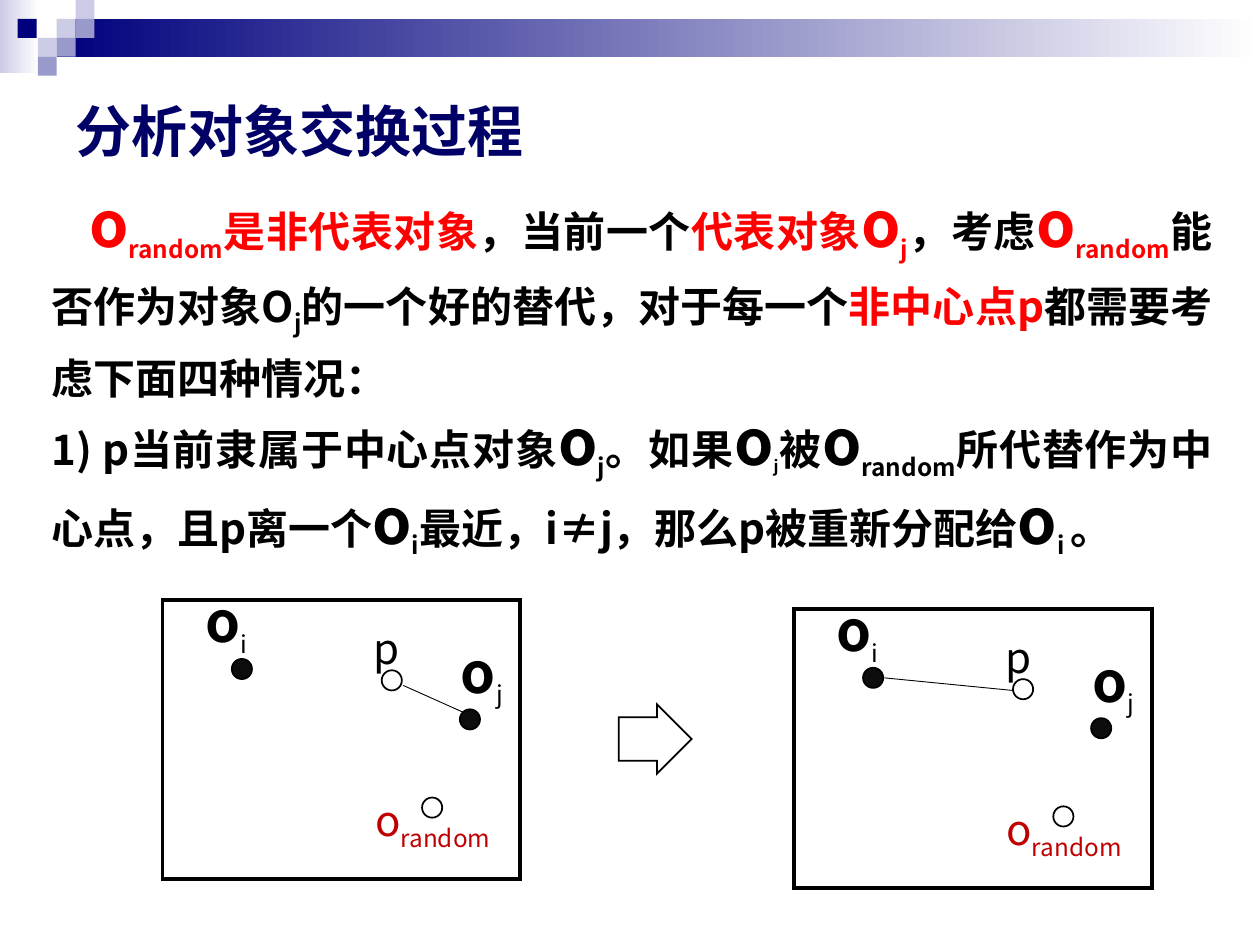
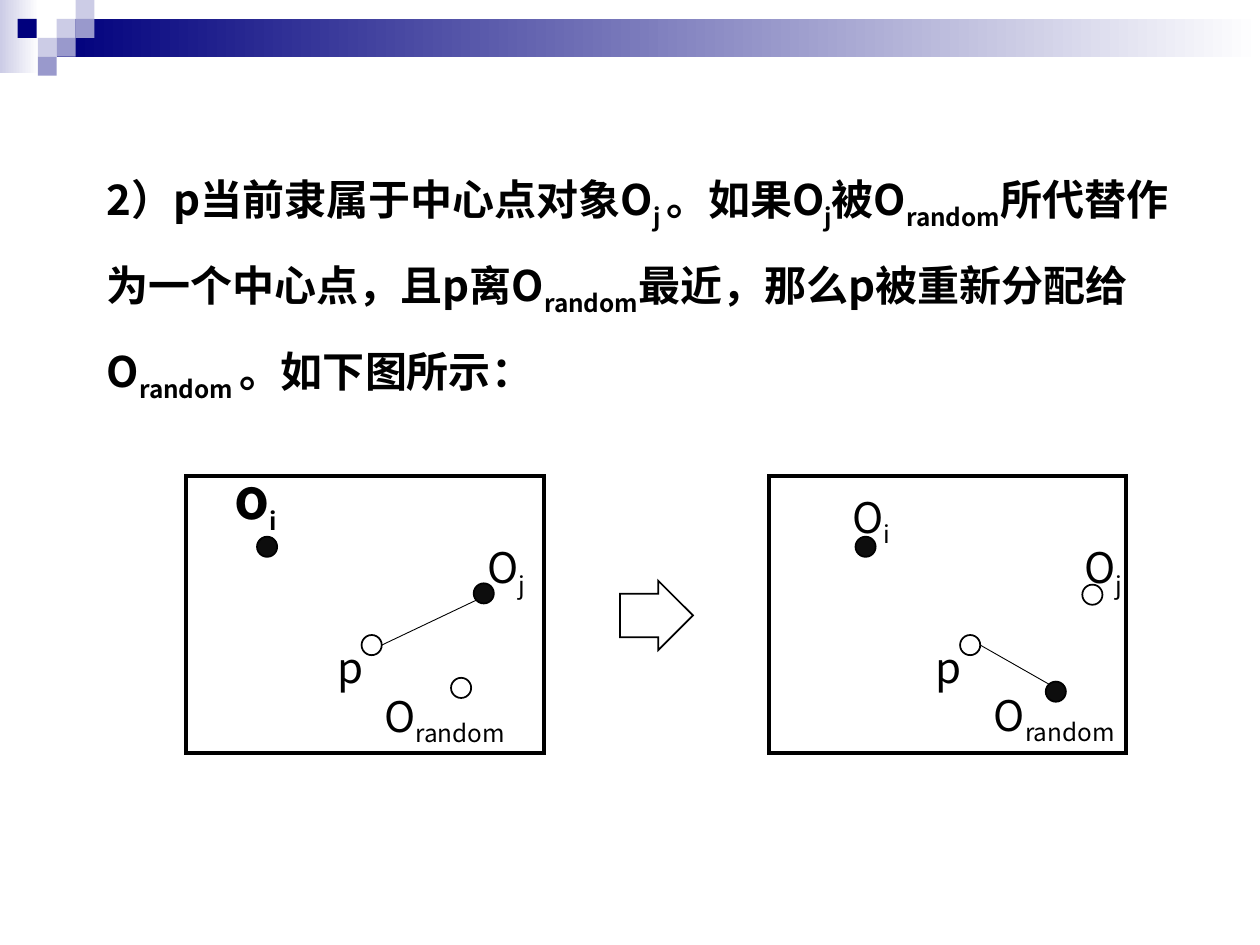
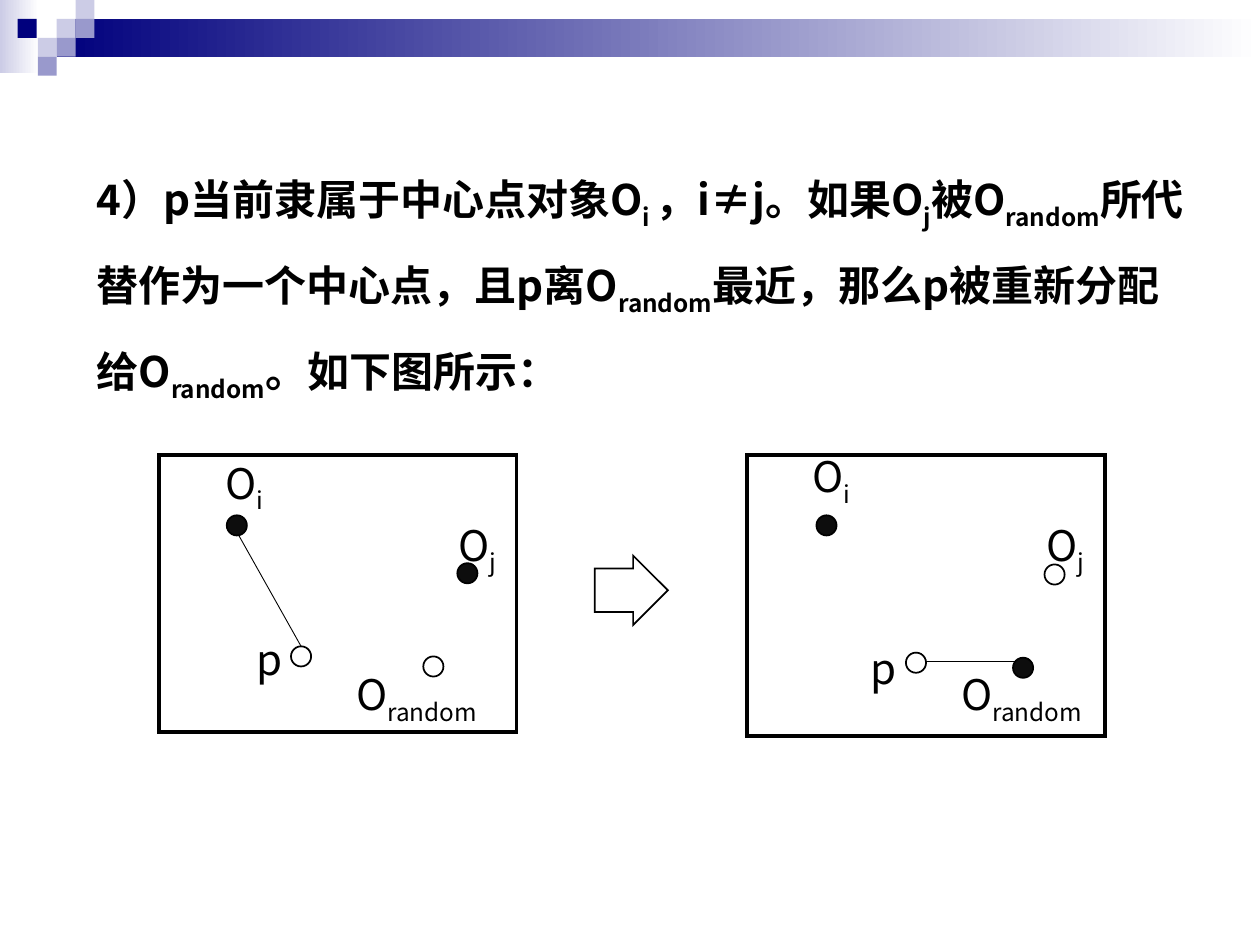
from collections import namedtuple
from dataclasses import dataclass, field
from itertools import cycle

from lxml.etree import SubElement
from pptx import Presentation
from pptx.dml.color import RGBColor
from pptx.enum.shapes import MSO_CONNECTOR as Connector, MSO_SHAPE as Shape
from pptx.enum.text import MSO_ANCHOR as Anchor, MSO_AUTO_SIZE as AutoSize, PP_ALIGN as Align
from pptx.oxml.ns import qn
from pptx.util import Pt

EMU_PER_PX = 9144

RunStyle = namedtuple("RunStyle", "size color bold sub font", defaults=(False, False, "Noto Sans CJK SC"))
Label = namedtuple("Label", "x y width runs")
Panel = namedtuple("Panel", "frame filled hollow labels link")


def px(length):
    return length * EMU_PER_PX


def rgb(color):
    return RGBColor.from_string(color)


def run_styles():
    black, red, wine = "000000", "FF0000", "C00000"
    return {
        "title": RunStyle(32, "000066", True, font="Arial"),
        "text": RunStyle(24, black, True),
        "sub": RunStyle(24, black, True, True),
        "tiny sub": RunStyle(16, black, True, True),
        "big": RunStyle(36, black, True),
        "red": RunStyle(24, red, True),
        "red sub": RunStyle(24, red, True, True),
        "red big": RunStyle(36, red, True),
        "label": RunStyle(24, black),
        "label sub": RunStyle(24, black, sub=True),
        "label big": RunStyle(32, black, True),
        "wine": RunStyle(24, wine),
        "wine sub": RunStyle(24, wine, sub=True),
    }


@dataclass(frozen=True)
class Theme:
    navy: str = "00007D"
    lilac: str = "9999CC"
    mist: str = "CCCCE6"
    white: str = "FFFFFF"
    ink: str = "000000"
    dot: str = "0D0D0D"
    east_asian: str = "Noto Sans CJK SC"
    frame_width: float = 2.25
    outline_width: float = 1
    link_width: float = 0.5
    dot_size: int = 16
    tile_size: int = 15
    styles: dict = field(default_factory=run_styles)


class Deck:
    def __init__(self, theme):
        self.theme = theme
        self.presentation = Presentation()
        self.presentation.slide_width = px(1000)
        self.presentation.slide_height = px(750)
        self.slide = None

    def new_slide(self):
        theme = self.theme
        self.slide = self.presentation.slides.add_slide(self.presentation.slide_layouts[6])
        self.gradient_bar((0, 0, 31, 58), theme.mist)
        self.gradient_bar((45, 15, 955, 30), theme.navy)
        tiles = [
            (45, 15, theme.mist), (60, 0, theme.mist), (60, 15, theme.lilac),
            (30, 30, theme.mist), (14, 15, theme.navy), (45, 30, theme.lilac),
            (30, 45, theme.lilac),
        ]
        for x, y, color in tiles:
            self.shape(Shape.RECTANGLE, (x, y, theme.tile_size, theme.tile_size), fill=color)

    def shape(self, kind, box, fill=None, line_width=None):
        shape = self.slide.shapes.add_shape(kind, *map(px, box))
        shape.shadow.inherit = False
        if fill:
            shape.fill.solid()
            shape.fill.fore_color.rgb = rgb(fill)
        else:
            shape.fill.background()
        if line_width:
            shape.line.color.rgb = rgb(self.theme.ink)
            shape.line.width = Pt(line_width)
            SubElement(shape.line._get_or_add_ln(), qn("a:miter")).set("lim", "800000")
        else:
            shape.line.fill.background()
        return shape

    def gradient_bar(self, box, color):
        bar = self.shape(Shape.RECTANGLE, box)
        bar.fill.gradient()
        bar.fill.gradient_angle = 0
        for stop, position, shade in zip(bar.fill.gradient_stops, (0, 1), (color, self.theme.white)):
            stop.position = position
            stop.color.rgb = rgb(shade)

    def text(self, box, paragraphs, spacings=(None,), align=None, first_indent=0, anchor=Anchor.TOP, grow=True):
        frame = self.slide.shapes.add_textbox(*map(px, box)).text_frame
        frame.word_wrap = True
        frame.auto_size = AutoSize.SHAPE_TO_FIT_TEXT if grow else AutoSize.NONE
        frame.vertical_anchor = anchor
        for index, (runs, spacing) in enumerate(zip(paragraphs, spacings)):
            paragraph = frame.add_paragraph() if index else frame.paragraphs[0]
            paragraph.line_spacing = spacing
            paragraph.alignment = align
            if first_indent and not index:
                paragraph._p.get_or_add_pPr().set("indent", str(px(first_indent)))
            for style, words in runs:
                self.run(paragraph, words, self.theme.styles[style])

    def run(self, paragraph, words, style):
        run = paragraph.add_run()
        run.text = words
        run.font.size = Pt(style.size)
        run.font.bold = style.bold
        run.font.color.rgb = rgb(style.color)
        run.font.name = style.font
        properties = run._r.get_or_add_rPr()
        SubElement(properties, qn("a:ea")).set("typeface", self.theme.east_asian)
        if style.sub:
            properties.set("baseline", "-25000")

    def title(self, words):
        self.text((50, 29, 900, 149), [[("title", words)]], anchor=Anchor.MIDDLE, grow=False)

    def label(self, label):
        first_style = self.theme.styles[label.runs[0][0]]
        height = 64 if first_style.size > 24 else 51
        self.text((label.x, label.y, label.width, height), [label.runs])

    def dot(self, x, y, fill=None):
        size = self.theme.dot_size
        self.shape(Shape.OVAL, (x, y, size, size), fill, self.theme.outline_width)

    def link(self, ends):
        line = self.slide.shapes.add_connector(Connector.STRAIGHT, *map(px, ends))
        line.line.color.rgb = rgb(self.theme.ink)
        line.line.width = Pt(self.theme.link_width)
        SubElement(line._element.spPr, qn("a:effectLst"))

    def arrow(self, x, y):
        arrow = self.shape(Shape.RIGHT_ARROW, (x, y, 58, 55), self.theme.white, self.theme.outline_width)
        arrow.adjustments[0] = 0.625
        arrow.adjustments[1] = 0.5

    def panel(self, panel):
        self.shape(Shape.RECTANGLE, panel.frame, line_width=self.theme.frame_width)
        for label in panel.labels:
            self.label(label)
        self.link(panel.link)
        for x, y in panel.filled:
            self.dot(x, y, self.theme.dot)
        for x, y in panel.hollow:
            self.dot(x, y)


def alternate(*words, styles=("text", "sub")):
    return list(zip(cycle(styles), words))


def symbol(*words):
    return alternate(*words, styles=("label", "label sub"))


def big_symbol(*words, sub="label sub"):
    return alternate(*words, styles=("label big", sub))


def exchange_panel(x, y, link):
    return Panel(
        frame=(x, y, 284, 222),
        filled=[(x + 55, y + 47), (x + 236, y + 87)],
        hollow=[(x + 174, y + 56), (x + 206, y + 157)],
        labels=[
            Label(x + 24, y - 15, 69, big_symbol("o", "i")),
            Label(x + 158, y + 13, 24, symbol("p")),
            Label(x + 227, y + 25, 63, big_symbol("o", "j")),
            Label(x + 159, y + 150, 146, alternate("o", "random", styles=("wine", "wine sub"))),
        ],
        link=link,
    )


def introduction(deck):
    deck.new_slide()
    deck.title("分析对象交换过程")
    question = [
        ("red big", "o"), ("red sub", "random"), ("red", "是非代表对象"), ("text", "，当前一个"),
        ("red", "代表对象"), ("red big", "o"), ("red sub", "j"), ("text", "，考虑"),
        ("red big", "o"), ("red sub", "random"), ("text", "能否作为对象O"), ("sub", "j"),
        ("text", "的一个好的替代，对于每一个"), ("red", "非中心点p"),
        ("text", "都需要考虑下面四种情况："),
    ]
    first_case = [
        ("text", "1) p当前隶属于中心点对象"), ("big", "o"), ("sub", "j"), ("text", "。如果"),
        ("big", "o"), ("tiny sub", "j"), ("text", "被"), ("big", "o"), ("sub", "random"),
        ("text", "所代替作为中心点，且p离一个"), ("big", "o"), ("sub", "i"),
        ("text", "最近，i≠j，那么p被重新分配给"), ("big", "o"), ("sub", "i "), ("text", "。"),
    ]
    deck.text((31, 123, 941, 315), [question, first_case], (1.3, 1.0), Align.JUSTIFY, first_indent=30)
    deck.arrow(491, 559)
    deck.panel(exchange_panel(129, 476, (320, 544, 367, 565)))
    deck.panel(exchange_panel(630, 483, (702, 538, 804, 548)))


def case_slide(deck, text_box, runs, panels, arrow):
    deck.new_slide()
    deck.text(text_box, [runs], (1.5,))
    for panel in panels:
        deck.panel(panel)
    deck.arrow(*arrow)


def second_case(deck):
    before = Panel(
        frame=(148, 378, 284, 220),
        filled=[(204, 426), (376, 463)],
        hollow=[(287, 504), (358, 538)],
        labels=[
            Label(176, 363, 71, big_symbol("o", "i", sub="sub")),
            Label(258, 504, 24, symbol("p")),
            Label(377, 425, 77, symbol("O", "j")),
            Label(295, 543, 141, symbol("O", "random")),
        ],
        link=(303, 512, 385, 473),
    )
    after = Panel(
        frame=(610, 378, 284, 220),
        filled=[(679, 426), (830, 541)],
        hollow=[(762, 504), (859, 464)],
        labels=[
            Label(667, 385, 90, symbol("O", "i")),
            Label(733, 504, 24, symbol("p")),
            Label(851, 425, 99, symbol("O", "j")),
            Label(779, 542, 144, symbol("O", "random")),
        ],
        link=(778, 512, 836, 545),
    )
    statement = alternate(
        "2）p当前隶属于中心点对象O", "j ", "。如果O", "j", "被O", "random",
        "所代替作为一个中心点，且p离O", "random", "最近，那么p被重新分配给O", "random ",
        "。如下图所示：",
    )
    case_slide(deck, (75, 110, 877, 182), statement, [before, after], (492, 461))


def fourth_case(deck):
    before = Panel(
        frame=(126, 361, 284, 220),
        filled=[(180, 409), (363, 447)],
        hollow=[(231, 513), (336, 521)],
        labels=[
            Label(169, 358, 61, symbol("O", "i")),
            Label(194, 498, 31, symbol("p")),
            Label(354, 407, 61, symbol("O", "j")),
            Label(273, 526, 133, symbol("O", "random")),
        ],
        link=(239, 513, 189, 424),
    )
    after = Panel(
        frame=(593, 361, 284, 223),
        filled=[(648, 409), (804, 522)],
        hollow=[(719, 518), (829, 448)],
        labels=[
            Label(635, 353, 61, symbol("O", "i")),
            Label(681, 505, 31, symbol("p")),
            Label(821, 407, 61, symbol("O", "j")),
            Label(753, 526, 133, symbol("O", "random")),
        ],
        link=(735, 525, 806, 525),
    )
    statement = alternate(
        "4）p当前隶属于中心点对象O", "i ", "，i≠j。如果O", "j", "被O", "random",
        "所代替作为一个中心点，且p离O", "random", "最近，那么p被重新分配给O", "random",
        "。如下图所示：",
    )
    case_slide(deck, (67, 110, 896, 182), statement, [before, after], (472, 441))


def main():
    deck = Deck(Theme())
    introduction(deck)
    second_case(deck)
    fourth_case(deck)
    deck.presentation.save("out.pptx")


if __name__ == "__main__":
    main()
